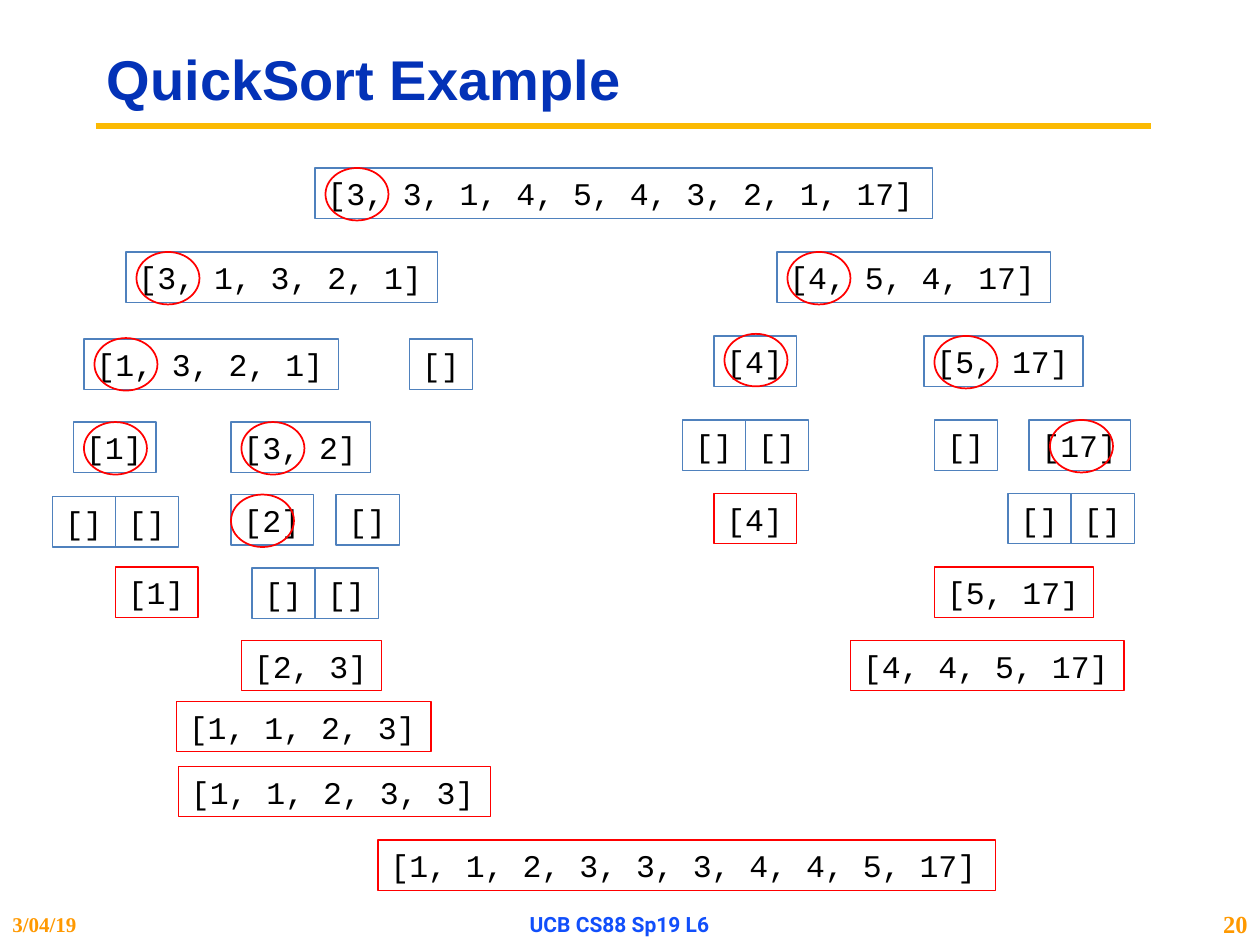
from collections import namedtuple

from lxml.etree import SubElement
from pptx import Presentation
from pptx.dml.color import RGBColor
from pptx.enum.shapes import MSO_CONNECTOR, MSO_SHAPE
from pptx.enum.text import MSO_ANCHOR, PP_ALIGN
from pptx.oxml.ns import qn
from pptx.util import Inches, Pt

Box = namedtuple("Box", "column row columns rows")

CELLS_PER_INCH = 12
LIST_ROWS = 4.8
CHARACTER_COLUMNS = 1.82
PADDING_COLUMNS = 2.4
BLUE, RED, ORANGE = "4F81BD", "FF0000", "FF9900"
CODE = {"size": Pt(18), "name": "Courier New", "bold": False}
TITLE = {"size": Pt(32), "name": "Arial", "bold": True}
DATE = {"size": Pt(12), "name": "Times New Roman", "bold": True}
COURSE = {"size": Pt(12), "name": "Roboto", "bold": True}
NUMBER = {"size": Pt(14), "name": "Times New Roman", "bold": True}

ROOT = [
    ("[3, 3, 1, 4, 5, 4, 3, 2, 1, 17]", 30, 0, BLUE, (1, 0)),
    ("[1, 1, 2, 3, 3, 3, 4, 4, 5, 17]", 36, 64, RED, None),
]
SMALLER = [
    ("[3, 1, 3, 2, 1]", 7, 0, BLUE, (1, 0)),
    ("[1, 3, 2, 1]", 3, 8.3, BLUE, (1, -0.1)),
    ("[]", 34, 8.3, BLUE, None),
    ("[1]", 2, 16.2, BLUE, (1, 0)),
    ("[3, 2]", 17, 16.2, BLUE, (1, 0)),
    ("[]", 0, 23.3, BLUE, None),
    ("[]", 6, 23.3, BLUE, None),
    ("[2]", 17, 23.1, BLUE, (0, 0)),
    ("[]", 27, 23.1, BLUE, None),
    ("[1]", 6, 30, RED, None),
    ("[]", 19, 30.1, BLUE, None),
    ("[]", 25, 30.1, BLUE, None),
    ("[2, 3]", 18, 37, RED, None),
    ("[1, 1, 2, 3]", 11.8, 42.8, RED, None),
    ("[1, 1, 2, 3, 3]", 12, 49, RED, None),
]
LARGER = [
    ("[4, 5, 4, 17]", 9, 0, BLUE, (1, 0)),
    ("[4]", 3, 8, BLUE, (1, -0.2)),
    ("[5, 17]", 23, 8, BLUE, (1, 0)),
    ("[]", 0, 16, BLUE, None),
    ("[]", 6, 16, BLUE, None),
    ("[]", 24, 16, BLUE, None),
    ("[17]", 33, 16, BLUE, (2, 0)),
    ("[4]", 3, 23, RED, None),
    ("[]", 31, 23, BLUE, None),
    ("[]", 37, 23, BLUE, None),
    ("[5, 17]", 24, 30, RED, None),
    ("[4, 4, 5, 17]", 16, 37, RED, None),
]


def color(value):
    """Turn a hex string into a colour."""
    return RGBColor.from_string(value)


def cells(*counts):
    """Turn grid cells into lengths."""
    return [Inches(count / CELLS_PER_INCH) for count in counts]


def write(shape, text, font, ink, align=PP_ALIGN.LEFT, anchor=MSO_ANCHOR.MIDDLE, wrap=True):
    """Write one line of formatted text in a shape."""
    frame = shape.text_frame
    frame.word_wrap, frame.vertical_anchor = wrap, anchor
    para = frame.paragraphs[0]
    para.alignment = align
    span = para.add_run()
    span.text = text
    for name, value in font.items():
        setattr(span.font, name, value)
    span.font.color.rgb = color(ink)
    return para


def add_label(page, box, text, font, ink, align=PP_ALIGN.LEFT):
    """Place a text box and return its paragraph."""
    return write(page.shapes.add_textbox(*cells(*box)), text, font, ink, align)


def add_outline(page, kind, box, ink, weight):
    """Place an unfilled shape."""
    shape = page.shapes.add_shape(kind, *cells(*box))
    shape.shadow.inherit = False
    shape.fill.background()
    shape.line.color.rgb = color(ink)
    shape.line.width = Pt(weight)
    return shape


def draw_header(page, box):
    """Place the title with the rule under it."""
    add_label(page, box, "QuickSort Example", TITLE, "0332B7").line_spacing = 0.9
    left, right, level = cells(box.column + 0.1, box.column + box.columns - 0.4, box.row + 9)
    rule = page.shapes.add_connector(MSO_CONNECTOR.STRAIGHT, left, level, right, level)
    rule.line.color.rgb = color("FBBA03")
    rule.line.width = Pt(3.75)
    SubElement(rule.line._get_or_add_ln().getparent(), qn("a:effectLst"))


def draw_lists(page, box, entries):
    """Place the lists of one branch and circle their pivots."""
    for text, column, row, ink, pivot in entries:
        left, top = box.column + column, box.row + row
        width = PADDING_COLUMNS + CHARACTER_COLUMNS * len(text)
        frame = Box(left, top, width, LIST_ROWS)
        shape = add_outline(page, MSO_SHAPE.RECTANGLE, frame, ink, 0.75)
        write(shape, text, CODE, "000000", anchor=MSO_ANCHOR.TOP, wrap=False)
        if pivot:
            circle = Box(left + pivot[0], top + pivot[1], 6, 5)
            add_outline(page, MSO_SHAPE.OVAL, circle, RED, 1)


def draw_footer(page, box):
    """Place the date, the course and the page number."""
    parts = [
        (0, 20, "3/04/19", DATE, ORANGE, PP_ALIGN.LEFT),
        (40, 38, "UCB CS88 Sp19 L6", COURSE, "114FFB", PP_ALIGN.CENTER),
        (113, 7, "20", NUMBER, ORANGE, PP_ALIGN.RIGHT),
    ]
    for column, columns, *content in parts:
        add_label(page, Box(box.column + column, box.row, columns, box.rows), *content)


def main():
    """Build the deck."""
    deck = Presentation()
    deck.slide_width, deck.slide_height = cells(120, 90)
    page = deck.slides.add_slide(deck.slide_layouts[6])
    draw_header(page, Box(9, 3, 101, 9.7))
    draw_lists(page, Box(0, 16, 120, 69), ROOT)
    draw_lists(page, Box(5, 24, 42, 54), SMALLER)
    draw_lists(page, Box(65, 24, 43, 42), LARGER)
    draw_footer(page, Box(0, 86, 120, 4))
    deck.save("out.pptx")


if __name__ == "__main__":
    main()
